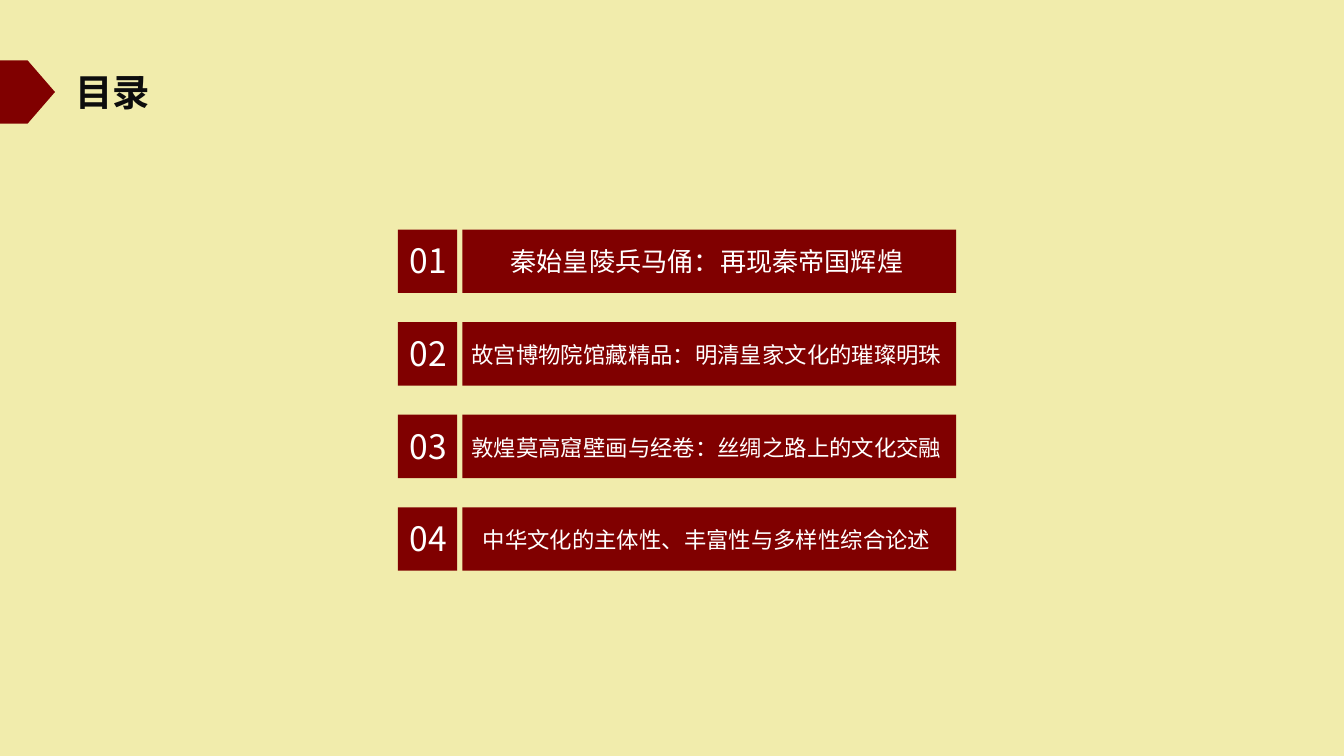
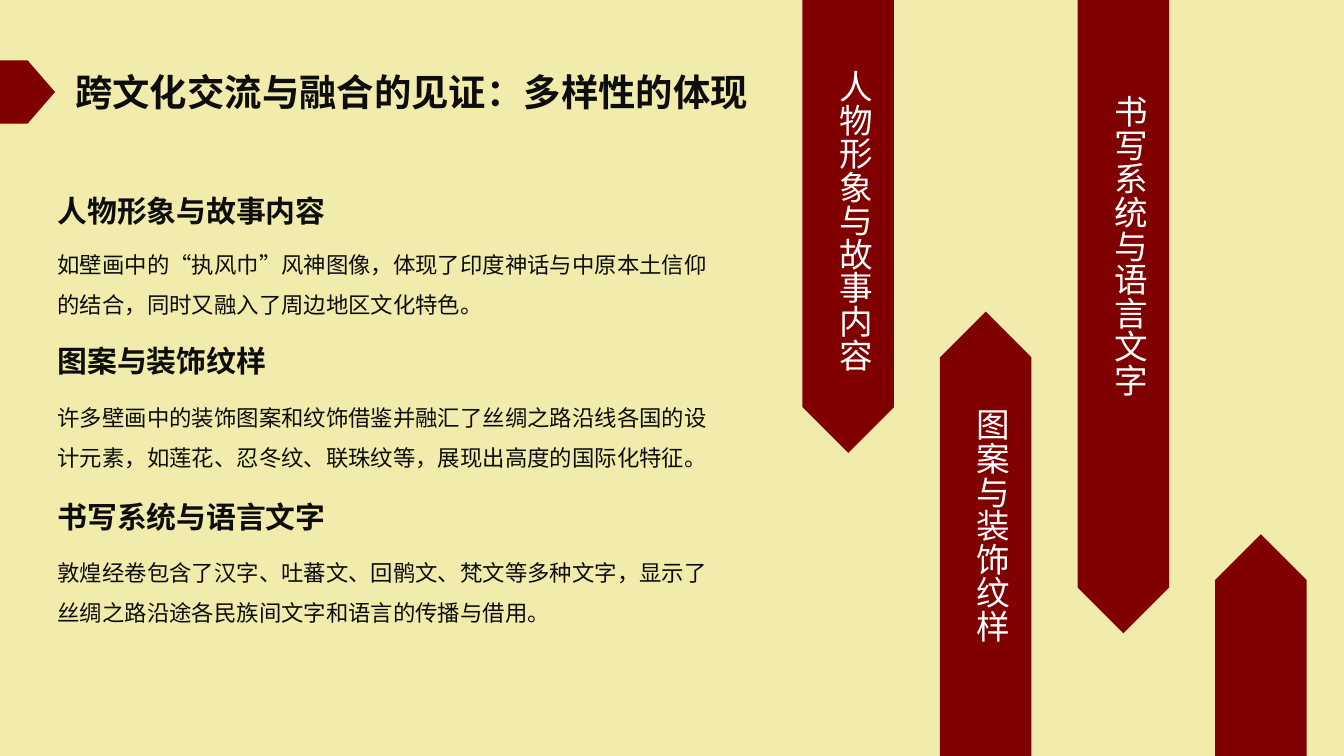
"""Builds a contents slide and a slide on cross-cultural exchange."""
from pptx import Presentation
from pptx.dml.color import RGBColor
from pptx.enum.shapes import MSO_SHAPE as Shape
from pptx.enum.text import MSO_ANCHOR as Anchor, MSO_AUTO_SIZE as AutoSize, PP_ALIGN as Align
from pptx.oxml.ns import qn
from pptx.util import Cm, Pt

COLORS = {"paper": "F1ECAC", "maroon": "800000", "ink": "0D0D0D", "white": "FFFFFF"}
HEAD_FONT, BODY_FONT = "Noto Sans CJK SC", "Calibri"
SLIDE_WIDTH, SLIDE_HEIGHT = 25.4, 14.29
CM_PER_POINT = 2.54 / 72

CONTENTS_TITLE = "目录"
CONTENTS = [
    ("秦始皇陵兵马俑：再现秦帝国辉煌", 14),
    ("故宫博物院馆藏精品：明清皇家文化的璀璨明珠", 12),
    ("敦煌莫高窟壁画与经卷：丝绸之路上的文化交融", 12),
    ("中华文化的主体性、丰富性与多样性综合论述", 12),
]
EXCHANGE_TITLE = "跨文化交流与融合的见证：多样性的体现"
SECTIONS = [
    (3.51, "人物形象与故事内容", 4.37,
     "如壁画中的“执风巾”风神图像，体现了印度神话与中原本土信仰的结合，同时又融入了周边地区文化特色。"),
    (6.35, "图案与装饰纹样", 7.26,
     "许多壁画中的装饰图案和纹饰借鉴并融汇了丝绸之路沿线各国的设计元素，如莲花、忍冬纹、联珠纹等，展现出高度的国际化特征。"),
    (9.3, "书写系统与语言文字", 10.19,
     "敦煌经卷包含了汉字、吐蕃文、回鹘文、梵文等多种文字，显示了丝绸之路沿途各民族间文字和语言的传播与借用。"),
]
RIBBONS = [
    ("down", 8.56, "人物形象与故事内容", 1.07),
    ("up", 8.4, "图案与装饰纹样", 7.47),
    ("down", 11.97, "书写系统与语言文字", 1.55),
    ("up", 4.19, None, None),
]


def rgb(name):
    return RGBColor.from_string(COLORS[name])


def text_length(text, size, padding=0.6):
    return len(text) * size * CM_PER_POINT + padding


def add_block(shapes, kind, left, top, width, height):
    shape = shapes.add_shape(kind, Cm(left), Cm(top), Cm(width), Cm(height))
    shape.shadow.inherit = False
    shape.fill.solid()
    shape.fill.fore_color.rgb = rgb("maroon")
    shape.line.fill.background()
    return shape


def write(shape, text, size, color, font=HEAD_FONT, bold=False, wrap=False, spacing=None):
    frame = shape.text_frame
    frame.word_wrap = wrap
    frame.auto_size = AutoSize.SHAPE_TO_FIT_TEXT
    frame.vertical_anchor = Anchor.TOP
    paragraph = frame.paragraphs[0]
    paragraph.alignment = Align.LEFT
    paragraph.line_spacing = spacing
    run = paragraph.add_run()
    run.text = text
    run.font.name = font
    run.font.size = Pt(size)
    run.font.bold = bold
    run.font.color.rgb = rgb(color)
    east_asian = run._r.get_or_add_rPr().makeelement(qn("a:ea"), {"typeface": HEAD_FONT})
    run.font._element.find(qn("a:latin")).addnext(east_asian)


def add_text(shapes, left, top, width, height, text, size, color, **style):
    box = shapes.add_textbox(Cm(left), Cm(top), Cm(width), Cm(height))
    write(box, text, size, color, **style)


def add_slide(presentation, title):
    slide = presentation.slides.add_slide(presentation.slide_layouts[6])
    slide.background.fill.solid()
    slide.background.fill.fore_color.rgb = rgb("paper")
    add_block(slide.shapes, Shape.PENTAGON, 0, 1.14, 1.04, 1.2)
    add_text(slide.shapes, 1.17, 1.19, text_length(title, 20), 1.12,
             title, 20, "ink", bold=True)
    return slide


def build_contents(presentation):
    slide = add_slide(presentation, CONTENTS_TITLE)
    first_top, pitch, row_height = 4.34, 1.75, 1.2
    bar_left, bar_width = 8.74, 9.33
    for index, (label, size) in enumerate(CONTENTS):
        top = first_top + index * pitch
        add_block(slide.shapes, Shape.RECTANGLE, 7.52, top, 1.12, row_height)
        add_text(slide.shapes, 7.49, top + 0.08, 1.27, 1.02, f"{index + 1:02}", 18, "white")
        row = slide.shapes.add_group_shape().shapes
        add_block(row, Shape.RECTANGLE, bar_left, top, bar_width, row_height)
        width, height = text_length(label, size), size * 0.06
        add_text(row, bar_left + (bar_width - width) / 2, top + (row_height - height) / 2,
                 width, height, label, size, "white")


def build_exchange(presentation):
    slide = add_slide(presentation, EXCHANGE_TITLE)
    for heading_top, heading, body_top, body in SECTIONS:
        add_text(slide.shapes, 0.84, body_top, 12.85, 1.7, body, 12, "ink",
                 font=BODY_FONT, wrap=True, spacing=1.5)
        add_text(slide.shapes, 0.84, heading_top, 5.61, 0.94, heading, 16, "ink",
                 bold=True, wrap=True)
    first_center, pitch, ribbon_width, label_width = 16.03, 2.6, 1.73, 1.27
    for index, (direction, length, label, label_top) in enumerate(RIBBONS):
        center = first_center + index * pitch
        middle = length / 2 if direction == "down" else SLIDE_HEIGHT - length / 2
        shapes = slide.shapes.add_group_shape().shapes if label else slide.shapes
        ribbon = add_block(shapes, Shape.PENTAGON, center - length / 2,
                           middle - ribbon_width / 2, length, ribbon_width)
        ribbon.rotation = 90 if direction == "down" else 270
        if label:
            plate = add_block(shapes, Shape.RECTANGLE, center - label_width / 2, label_top,
                              label_width, text_length(label, 18, 0.3))
            write(plate, label, 18, "white", font=BODY_FONT)
            plate.text_frame._txBody.bodyPr.set("vert", "eaVert")


def main():
    presentation = Presentation()
    presentation.slide_width = Cm(SLIDE_WIDTH)
    presentation.slide_height = Cm(SLIDE_HEIGHT)
    build_contents(presentation)
    build_exchange(presentation)
    presentation.save("out.pptx")


if __name__ == "__main__":
    main()
